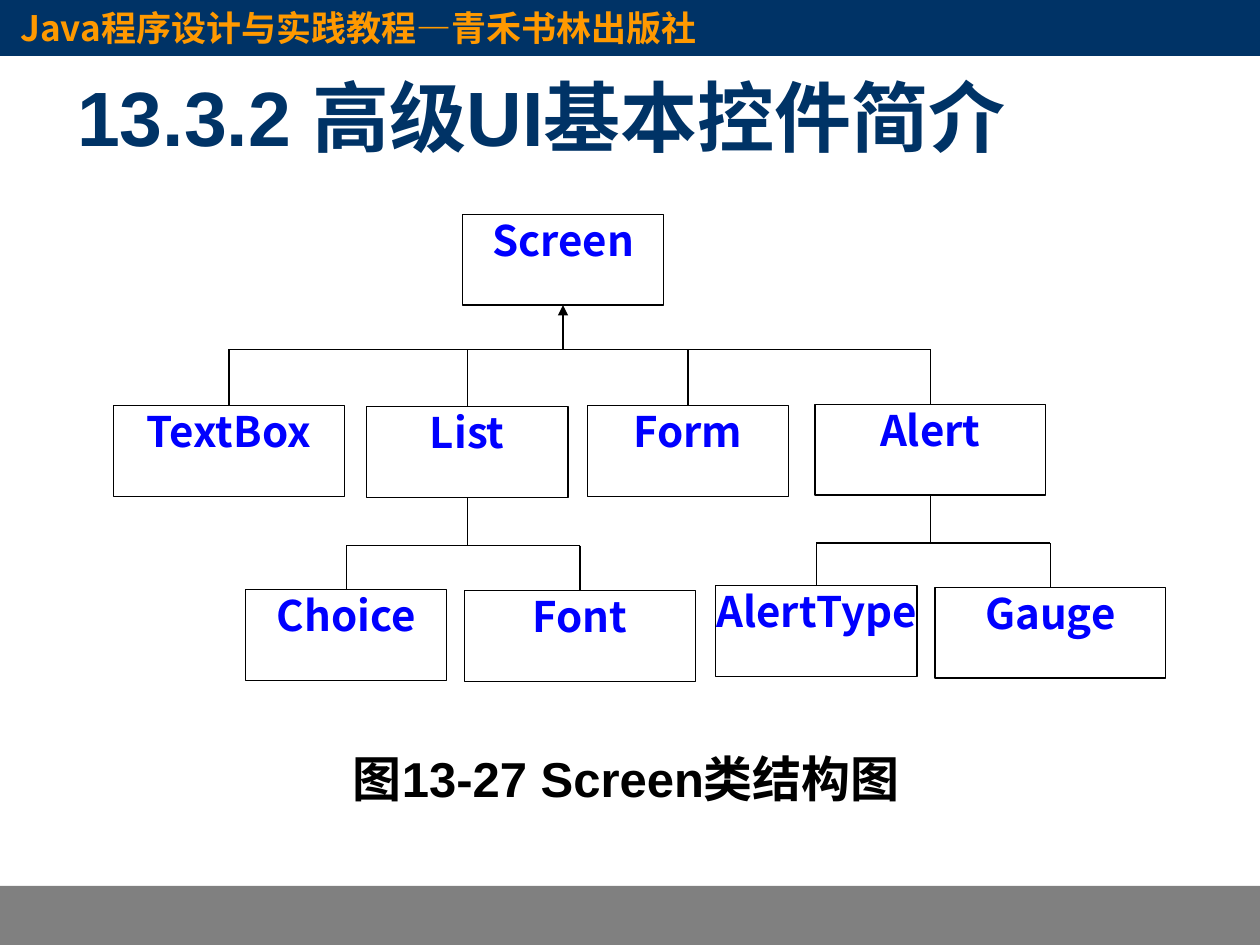
"""Build a slide showing the Screen class hierarchy as a tree of boxes."""
import pptx
import pptx.dml.color
import pptx.enum.shapes
import pptx.enum.text
import pptx.oxml.ns
import pptx.util
from lxml import etree

Cm, Pt = pptx.util.Cm, pptx.util.Pt
RGBColor = pptx.dml.color.RGBColor
RECTANGLE = pptx.enum.shapes.MSO_SHAPE.RECTANGLE
STRAIGHT = pptx.enum.shapes.MSO_CONNECTOR.STRAIGHT
PP_ALIGN = pptx.enum.text.PP_ALIGN
ANCHOR = pptx.enum.text.MSO_ANCHOR
AUTO_SIZE = pptx.enum.text.MSO_AUTO_SIZE
qn = pptx.oxml.ns.qn

NAVY = RGBColor(0x00, 0x33, 0x66)
ORANGE = RGBColor(0xFF, 0x99, 0x00)
GRAY = RGBColor(0x80, 0x80, 0x80)
BLUE = RGBColor(0x00, 0x00, 0xFF)
BLACK = RGBColor(0x00, 0x00, 0x00)
WHITE = RGBColor(0xFF, 0xFF, 0xFF)

CJK_FONT = "Noto Sans CJK SC"
HEADER = "Java程序设计与实践教程—青禾书林出版社"
TITLE = "13.3.2 高级UI基本控件简介"
CAPTION = "图13-27 Screen类结构图"

NARROW, WIDE, BOX_HEIGHT = 4.06, 4.65, 1.83
NODES = [
    ("Screen", 9.32, 4.32, NARROW),
    ("TextBox", 2.29, 8.18, WIDE),
    ("List", 7.39, 8.2, NARROW),
    ("Form", 11.84, 8.18, NARROW),
    ("Alert", 16.43, 8.15, WIDE),
    ("Choice", 4.95, 11.89, NARROW),
    ("Font", 9.37, 11.91, WIDE),
    ("AlertType", 14.43, 11.81, NARROW),
    ("Gauge", 18.85, 11.84, WIDE),
]
BRANCHES = [
    ("Screen", ["TextBox", "List", "Form", "Alert"], 7.04, True),
    ("List", ["Choice", "Font"], 11, False),
    ("Alert", ["AlertType", "Gauge"], 10.95, False),
]
FONTS = {
    "header": ({"size": Pt(20), "name": CJK_FONT, "bold": True}, ORANGE),
    "title": ({"size": Pt(44), "name": "Arial", "bold": True}, NAVY),
    "node": ({"size": Pt(24), "name": CJK_FONT, "bold": True}, BLUE),
    "caption": ({"size": Pt(28), "name": "Arial", "bold": True}, BLACK),
}


def write(sp, text, style, align, frame):
    tf = sp.text_frame
    for name, value in frame.items():
        setattr(tf, name, value)
    p = tf.paragraphs[0]
    p.alignment = align
    r = p.add_run()
    r.text = text
    values, color = FONTS[style]
    for name, value in values.items():
        setattr(r.font, name, value)
    r.font.color.rgb = color
    latin = r.font._element.find(qn("a:latin"))
    ea = etree.Element(qn("a:ea"), typeface=CJK_FONT)
    latin.addnext(ea)


def add_box(s, left, top, width, height, fill, line=None):
    sp = s.shapes.add_shape(RECTANGLE, Cm(left), Cm(top), Cm(width), Cm(height))
    sp.shadow.inherit = False
    sp.fill.solid()
    sp.fill.fore_color.rgb = fill
    if line is None:
        sp.line.fill.background()
    else:
        sp.line.color.rgb = line
        sp.line.width = Pt(0.75)
    return sp


def add_line(s, x1, y1, x2, y2, arrow=False):
    line = s.shapes.add_connector(STRAIGHT, x1, y1, x2, y2)
    line.line.color.rgb = BLACK
    line.line.width = Pt(0.75)
    if arrow:
        etree.SubElement(line.line._get_or_add_ln(), qn("a:tailEnd"), type="triangle")
    etree.SubElement(line._element.spPr, qn("a:effectLst"))
    return line


def center(sp):
    return sp.left + sp.width // 2


def add_branch(s, parent, children, bar, arrow):
    y = Cm(bar)
    add_line(s, center(children[0]), y, center(children[-1]), y)
    x = center(parent)
    stem = add_line(s, x, y, x, parent.top + parent.height, arrow)
    stem.end_connect(parent, 2)
    for child in children:
        x = center(child)
        add_line(s, x, y, x, child.top).end_connect(child, 0)


def main():
    prs = pptx.Presentation()
    prs.slide_width, prs.slide_height = Cm(25.4), Cm(19.05)
    s = prs.slides.add_slide(prs.slide_layouts[5])

    add_box(s, 0, 17.86, 25.4, 1.19, GRAY)
    header = add_box(s, 0, 0, 25.4, 1.12, NAVY, NAVY)
    write(header, HEADER, "header", PP_ALIGN.LEFT, {
        "word_wrap": False, "vertical_anchor": ANCHOR.MIDDLE, "margin_left": Cm(0.41)})

    title = s.shapes.title
    place = {"left": Cm(1.3), "top": Cm(1.32), "width": Cm(22.86), "height": Cm(2.01)}
    for name, value in place.items():
        setattr(title, name, value)
    write(title, TITLE, "title", PP_ALIGN.LEFT, {
        "word_wrap": True, "vertical_anchor": ANCHOR.MIDDLE, "auto_size": AUTO_SIZE.NONE})

    node_frame = {"word_wrap": True, "vertical_anchor": ANCHOR.TOP}
    node_frame.update({f"margin_{side}": 0 for side in ("left", "top", "right", "bottom")})
    boxes = {}
    for text, left, top, width in NODES:
        boxes[text] = add_box(s, left, top, width, BOX_HEIGHT, WHITE, BLACK)
        write(boxes[text], text, "node", PP_ALIGN.CENTER, node_frame)
    for parent, children, bar, arrow in BRANCHES:
        add_branch(s, boxes[parent], [boxes[child] for child in children], bar, arrow)

    caption = s.shapes.add_textbox(Cm(6.63), Cm(14.96), Cm(11.99), Cm(1.45))
    write(caption, CAPTION, "caption", PP_ALIGN.CENTER, {
        "word_wrap": False, "vertical_anchor": ANCHOR.MIDDLE,
        "auto_size": AUTO_SIZE.NONE, "margin_left": 0, "margin_right": 0})

    prs.save("out.pptx")


if __name__ == "__main__":
    main()
